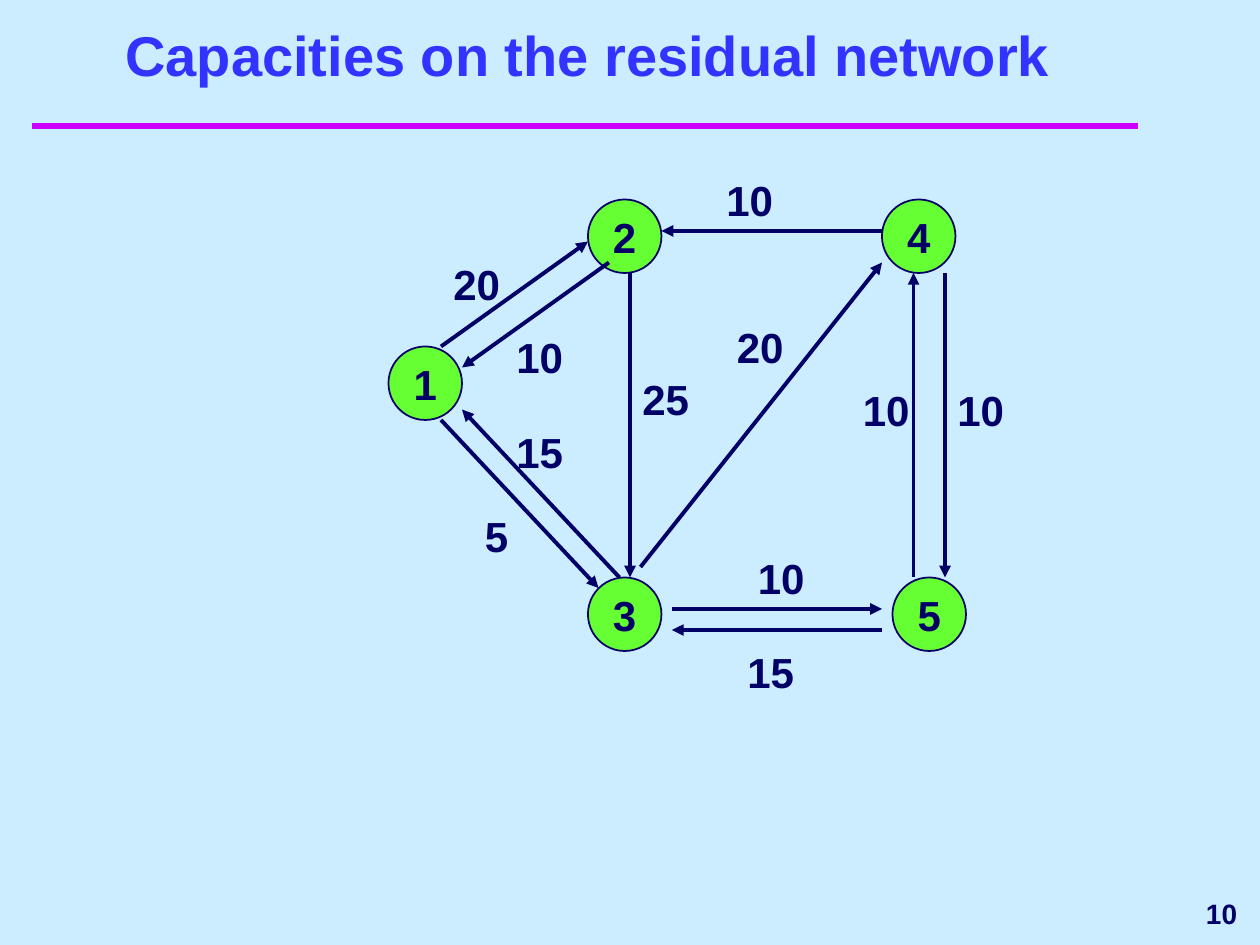
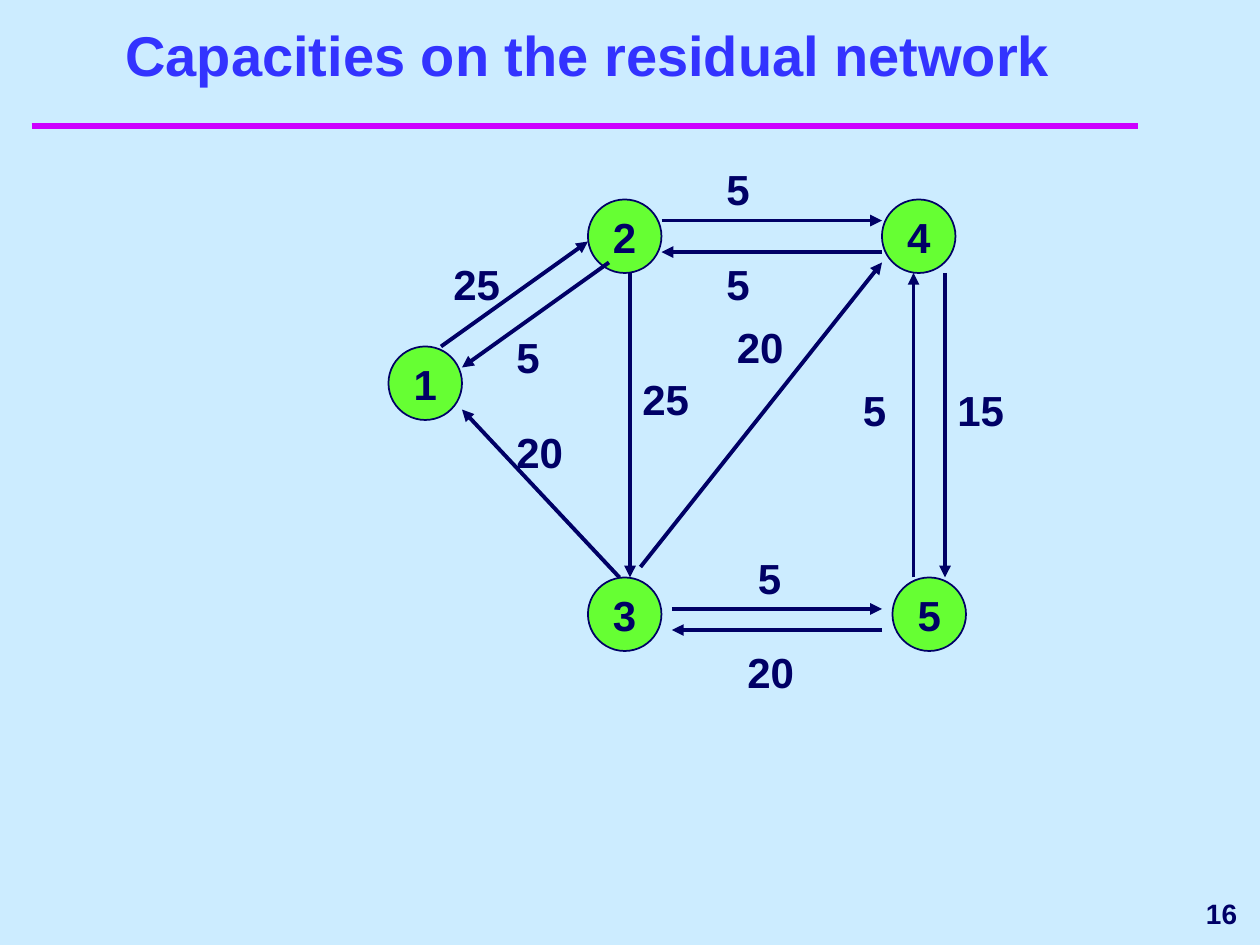
from lxml import etree
from pptx import Presentation
from pptx import util as u
from pptx.dml.color import RGBColor
from pptx.enum import shapes, text
from pptx.oxml import ns

# Grid: twelve columns or rows to the inch
COLUMNS, ROWS = 120, 90
CELL = u.Inches(10) // COLUMNS
NODE_SIZE = 7
TITLE = "Capacities on the residual network"

# Left column and top row of each node
NODES = {1: (37, 33), 2: (56, 19), 4: (84, 19), 3: (56, 55), 5: (85, 55)}

# (from node, to node): arrow start, arrow end, label corner, label width
ROUTES = {
    (1, 2): ((42, 33), (56, 23), (42, 24), 14),
    (2, 1): ((58, 25), (44, 35), (48, 31), 14),
    (1, 3): ((42, 40), (57, 56), (45, 48), 8),
    (3, 1): ((59, 55), (44, 39), (48, 40), 14),
    (2, 3): ((60, 26), (60, 55), (60, 35), 14),
    (3, 4): ((61, 54), (84, 25), (69, 30), 14),
    (2, 4): ((63, 21), (84, 21), (68, 15), 14),
    (4, 2): ((84, 24), (63, 24), (68, 24), 14),
    (4, 5): ((90, 26), (90, 55), (90, 36), 14),
    (5, 4): ((87, 55), (87, 26), (81, 36), 14),
    (3, 5): ((64, 58), (84, 58), (71, 52), 8),
    (5, 3): ((84, 60), (64, 60), (70, 61), 14),
}
# Without a partner, the arrow from 4 to 2 runs higher
SINGLE_ROUTES = ROUTES | {(4, 2): ((84, 22), (63, 22), (68, 16), 14)}

# Page number, routes, residual capacity of each arc
PAGES = [
    (10, SINGLE_ROUTES, {
        (1, 2): 20, (2, 1): 10, (1, 3): 5, (3, 1): 15, (2, 3): 25, (3, 4): 20,
        (4, 2): 10, (4, 5): 10, (5, 4): 10, (3, 5): 10, (5, 3): 15}),
    (16, ROUTES, {
        (1, 2): 25, (2, 1): 5, (3, 1): 20, (2, 3): 25, (3, 4): 20, (2, 4): 5,
        (4, 2): 5, (4, 5): 15, (5, 4): 5, (3, 5): 5, (5, 3): 20}),
]


def color(code):
    return RGBColor.from_string(code)


def cells(*counts):
    return [u.Emu(round(count * CELL)) for count in counts]


class NetworkDeck:
    FONT = "Arial"
    INK, HEADING, RULE = "000066", "3333FF", "CC00FF"
    NODE, BACKGROUND = "66FF33", "CCECFF"

    def __init__(self):
        self.deck = Presentation()
        self.deck.slide_width, self.deck.slide_height = cells(COLUMNS, ROWS)
        fill = self.deck.slide_master.background.fill
        fill.solid()
        fill.fore_color.rgb = color(self.BACKGROUND)
        self.page = None

    def set_text(self, box, words, size, ink, align, anchor):
        frame = box.text_frame
        frame.text = str(words)
        frame.word_wrap = True
        frame.auto_size = text.MSO_AUTO_SIZE.NONE
        frame.vertical_anchor = anchor
        para = frame.paragraphs[0]
        para.alignment = align
        font = para.runs[0].font
        font.name, font.size, font.bold = self.FONT, u.Pt(size), True
        font.color.rgb = color(ink)
        return frame

    def start_page(self, title, number):
        self.page = self.deck.slides.add_slide(self.deck.slide_layouts[5])
        self.line((3, 12), (108.36, 12), self.RULE, 4)
        self.label(number, 96, 84, 23, 6, 16, text.PP_ALIGN.RIGHT,
                   text.MSO_ANCHOR.MIDDLE)
        box = self.page.shapes.title
        box.left, box.top, box.width, box.height = cells(5, 4, 102, 5)
        self.set_text(box, title, 32, self.HEADING, text.PP_ALIGN.CENTER,
                      text.MSO_ANCHOR.BOTTOM)

    def label(self, words, left, top, width, height=6, size=24,
              align=text.PP_ALIGN.LEFT, anchor=text.MSO_ANCHOR.TOP):
        box = self.page.shapes.add_textbox(*cells(left, top, width, height))
        self.set_text(box, words, size, self.INK, align, anchor)

    def node(self, name, left, top):
        circle = self.page.shapes.add_shape(
            shapes.MSO_SHAPE.OVAL, *cells(left, top, NODE_SIZE, NODE_SIZE))
        circle.shadow.inherit = False
        circle.fill.solid()
        circle.fill.fore_color.rgb = color(self.NODE)
        circle.line.color.rgb = color(self.INK)
        circle.line.width = u.Pt(1)
        frame = self.set_text(circle, name, 24, self.INK,
                              text.PP_ALIGN.CENTER, text.MSO_ANCHOR.MIDDLE)
        frame.word_wrap = False

    def line(self, start, end, ink, weight):
        connector = self.page.shapes.add_connector(
            shapes.MSO_CONNECTOR.STRAIGHT, *cells(*start, *end))
        connector.line.color.rgb = color(ink)
        connector.line.width = u.Pt(weight)
        etree.SubElement(connector.element.spPr, ns.qn("a:effectLst"))
        return connector

    def arrow(self, start, end):
        connector = self.line(start, end, self.INK, 2.25)
        outline = connector.element.spPr.find(ns.qn("a:ln"))
        etree.SubElement(outline, ns.qn("a:tailEnd"), type="triangle")


def main():
    network = NetworkDeck()
    for number, routes, capacities in PAGES:
        network.start_page(TITLE, number)

        # Nodes
        for name, (left, top) in NODES.items():
            network.node(name, left, top)

        # Arcs with their capacities
        for arc, capacity in capacities.items():
            start, end, corner, width = routes[arc]
            network.arrow(start, end)
            network.label(capacity, *corner, width)

    network.deck.save("out.pptx")


if __name__ == "__main__":
    main()
